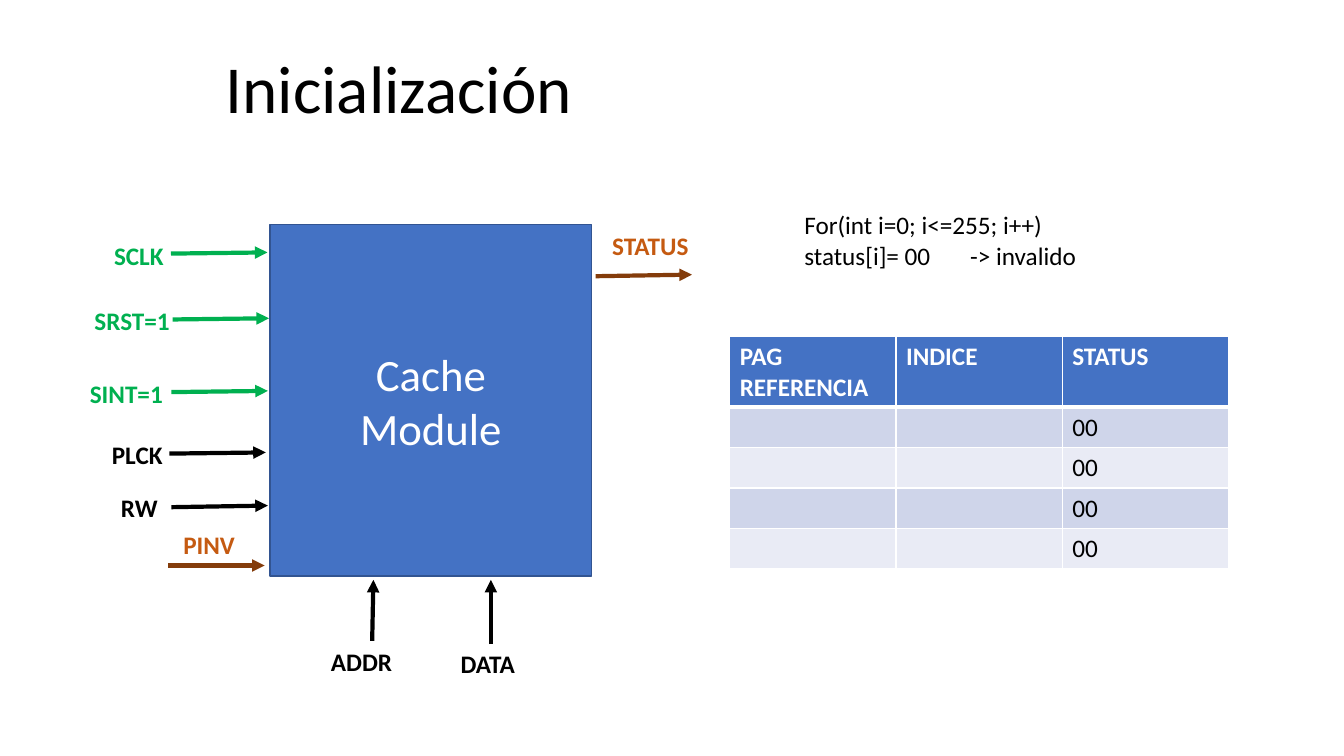
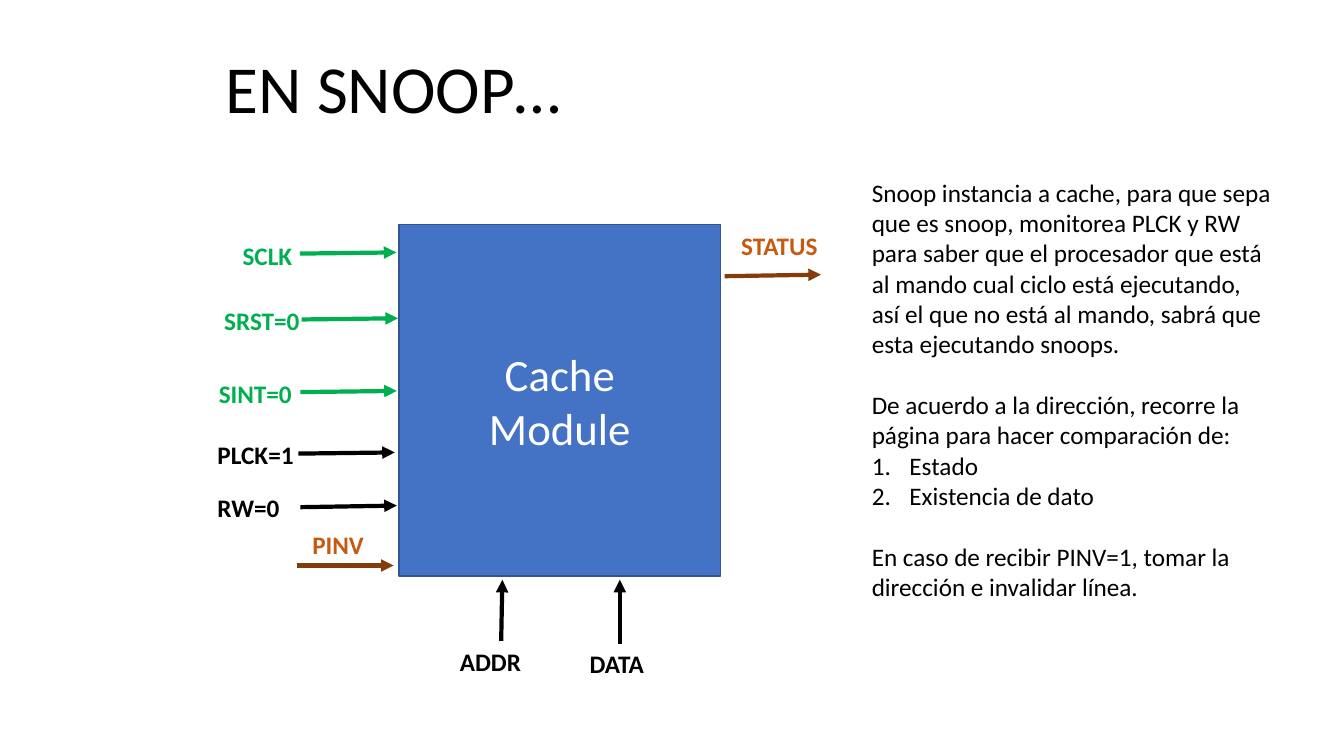
from lxml.etree import SubElement
from pptx import Presentation
from pptx.dml.color import RGBColor
from pptx.enum.shapes import MSO_CONNECTOR as Connector, MSO_SHAPE as Shape
from pptx.enum.text import MSO_ANCHOR as Anchor, MSO_AUTO_SIZE as AutoSize, PP_ALIGN as Align
from pptx.oxml.ns import qn
from pptx.util import Cm, Pt

COLORS = {
    "black": "000000", "white": "FFFFFF", "blue": "4472C4", "edge": "325491",
    "green": "00B050", "orange": "C55A11", "brown": "843C0B",
    "odd": "CFD5EA", "even": "E9EBF5",
}
FONT = "Calibri"
BODY = {"size": Pt(18), "bold": False}
STRONG = {"size": Pt(18), "bold": True}
TITLE = {"size": Pt(48), "bold": False}
MODULE = {"size": Pt(32), "bold": False}
BLANK_LINE = Pt(22)

# Inputs on the left: name, label top, arrow start (x, y), rise, colour.
# Horizontal values are measured from the left edge of the module.
INPUTS = [
    ("SCLK", 5.94, -2.5, 6.39, 0.03, "green"),
    ("SRST", 7.57, -2.46, 8.05, 0.03, "green"),
    ("SINT", 9.4, -2.49, 9.88, 0.03, "green"),
    ("PLCK", 10.95, -2.54, 11.43, 0.03, "black"),
    ("RW", 12.29, -2.49, 12.78, 0.04, "black"),
]
# Buses below: name, label (x, y), arrow start (x, y), arrow tip x
BUSES = [
    ("ADDR", 1.28, 16.15, 2.57, 16.15, 2.6),
    ("DATA", 4.55, 16.21, 5.56, 16.23, 5.56),
]
ARROW_LENGTH = 2.43


def rgb(name):
    return RGBColor.from_string(COLORS[name])


def apply(target, values):
    for key, value in values.items():
        setattr(target, key, value)


def write(paragraph, text, style, color="black", **layout):
    apply(paragraph, layout)
    run = paragraph.add_run()
    run.text = text
    apply(run.font, {"name": FONT, **style})
    run.font.color.rgb = rgb(color)


def add_text(slide, box, lines, style, color="black", align=Align.LEFT):
    """Each line is a text with the space before it; returns the paragraphs."""
    frame = slide.shapes.add_textbox(*map(Cm, box)).text_frame
    apply(frame, {"word_wrap": True, "auto_size": AutoSize.SHAPE_TO_FIT_TEXT})
    for index, (text, gap) in enumerate(lines):
        paragraph = frame.add_paragraph() if index else frame.paragraphs[0]
        write(paragraph, text, style, color, alignment=align, space_before=gap)
    return frame.paragraphs


def add_label(slide, left, top, width, text, color, align=Align.LEFT):
    add_text(slide, (left, top, width, 1.02), [(text, Pt(0))], STRONG, color, align)


def add_arrow(slide, start, end, color):
    arrow = slide.shapes.add_connector(Connector.STRAIGHT, *map(Cm, start + end))
    arrow.line.width = Pt(3)
    arrow.line.color.rgb = rgb(color)
    SubElement(arrow.line._get_or_add_ln(), qn("a:tailEnd"), type="triangle")
    SubElement(arrow._element.spPr, qn("a:effectLst"))


def set_tab(paragraph, position):
    tabs = SubElement(paragraph._p.get_or_add_pPr(), qn("a:tabLst"))
    SubElement(tabs, qn("a:tab"), pos=str(Cm(position)), algn="l")


def set_number(paragraph):
    properties = paragraph._p.get_or_add_pPr()
    properties.set("marL", str(Cm(0.95)))
    properties.set("indent", str(-Cm(0.95)))
    SubElement(properties, qn("a:buFont"), typeface="+mj-lt")
    SubElement(properties, qn("a:buAutoNum"), type="arabicPeriod")


def add_title(slide, text):
    add_text(slide, (5.44, 1.04, 14.58, 2.31), [(text, Pt(0))], TITLE)


def add_module(slide, left):
    module = slide.shapes.add_shape(Shape.RECTANGLE, Cm(left), Cm(5.66), Cm(8.1), Cm(8.86))
    module.shadow.inherit = False
    module.fill.solid()
    module.fill.fore_color.rgb = rgb("blue")
    module.line.color.rgb = rgb("edge")
    module.line.width = Pt(1)
    frame = module.text_frame
    frame.vertical_anchor = Anchor.MIDDLE
    write(frame.paragraphs[0], "Cache", MODULE, "white", alignment=Align.CENTER)
    write(frame.add_paragraph(), "Module", MODULE, "white", alignment=Align.CENTER)


def add_cache_diagram(slide, left, signals):
    """Signals give, for each input, its text, label offset and label width."""
    add_module(slide, left)

    # Inputs
    for (name, top, x, y, rise, color), (value, offset, width) in zip(INPUTS, signals):
        align = Align.CENTER if color == "green" else Align.LEFT
        add_label(slide, left + offset, top, width, name + value, color, align)
        add_arrow(slide, (left + x, y), (left + x + ARROW_LENGTH, y - rise), color)

    # Invalidation input and status output
    add_label(slide, left - 2.44, 13.21, 1.98, "PINV", "orange")
    add_arrow(slide, (left - 2.57, 14.25), (left - 2.57 + ARROW_LENGTH, 14.25), "brown")
    add_label(slide, left + 8.37, 5.69, 2.64, "STATUS", "orange")
    add_arrow(slide, (left + 8.2, 6.96), (left + 8.2 + ARROW_LENGTH, 6.92), "brown")

    # Buses
    for name, label_x, label_y, x, y, tip_x in BUSES:
        add_label(slide, left + label_x, label_y, 2.67, name, "black")
        add_arrow(slide, (left + x, y), (left + tip_x, 14.61), "black")


def set_border(cell, side, width):
    line = SubElement(cell._tc.get_or_add_tcPr(), qn("a:" + side), w=str(Pt(width)))
    fill = SubElement(line, qn("a:solidFill"))
    SubElement(fill, qn("a:srgbClr"), val=COLORS["white"])


def add_status_table(slide, headings, statuses):
    rows = [headings] + [("", "", status) for status in statuses]
    heights = [1.75] + [1.02] * len(statuses)
    table = slide.shapes.add_table(
        len(rows), len(headings), Cm(18.39), Cm(8.48), Cm(12.57), Cm(sum(heights))).table
    for column in table.columns:
        column.width = Cm(4.19)
    for index, texts in enumerate(rows):
        table.rows[index].height = Cm(heights[index])
        header = index == 0
        band = "blue" if header else "odd" if index % 2 else "even"
        for cell, text in zip(table.rows[index].cells, texts):
            for side in ("lnL", "lnR", "lnT", "lnB"):
                thick = (header and side == "lnB") or (index == 1 and side == "lnT")
                set_border(cell, side, 3 if thick else 1)
            cell.fill.solid()
            cell.fill.fore_color.rgb = rgb(band)
            if text:
                write(cell.text_frame.paragraphs[0], text, STRONG if header else BODY,
                      "white" if header else "black")


def build_initialization(slide):
    add_title(slide, "Inicialización")
    add_cache_diagram(slide, 6.81, [
        ("", -4.29, 1.96), ("=1", -4.85, 2.74), ("=1", -5.11, 2.97),
        ("", -4.24, 1.96), ("", -4.01, 1.96)])
    code = add_text(slide, (20.02, 5.16, 9.3, 1.8), [
        ("For(int i=0; i<=255; i++)", Pt(0)),
        ("status[i]= 00\t-> invalido", Pt(0))], BODY)
    set_tab(code[1], 4.18)
    add_status_table(slide, ("PAG REFERENCIA", "INDICE", "STATUS"), ["00"] * 4)


def build_snoop(slide):
    add_title(slide, "EN SNOOP…")
    add_cache_diagram(slide, 10.06, [
        ("", -4.3, 1.96), ("=0", -4.83, 2.74), ("=0", -5.11, 2.97),
        ("=1", -4.83, 2.51), ("=0", -4.83, 2.77)])
    explanation = add_text(slide, (21.72, 4.34, 10.64, 11.02), [
        ("Snoop instancia a cache, para que sepa que es snoop, monitorea PLCK y RW "
         "para saber que el procesador que está al mando cual ciclo está ejecutando, "
         "así el que no está al mando, sabrá que esta ejecutando snoops.", Pt(0)),
        ("De acuerdo a la dirección, recorre la página para hacer comparación de:",
         BLANK_LINE),
        ("Estado", Pt(0)),
        ("Existencia de dato", Pt(0)),
        ("En caso de recibir PINV=1, tomar la dirección e invalidar línea.", BLANK_LINE),
    ], BODY)
    for check in explanation[2:4]:
        set_number(check)


def main():
    deck = Presentation()
    apply(deck, {"slide_width": Cm(33.87), "slide_height": Cm(19.05)})
    for build in (build_initialization, build_snoop):
        build(deck.slides.add_slide(deck.slide_layouts[6]))
    deck.save("out.pptx")


main()
